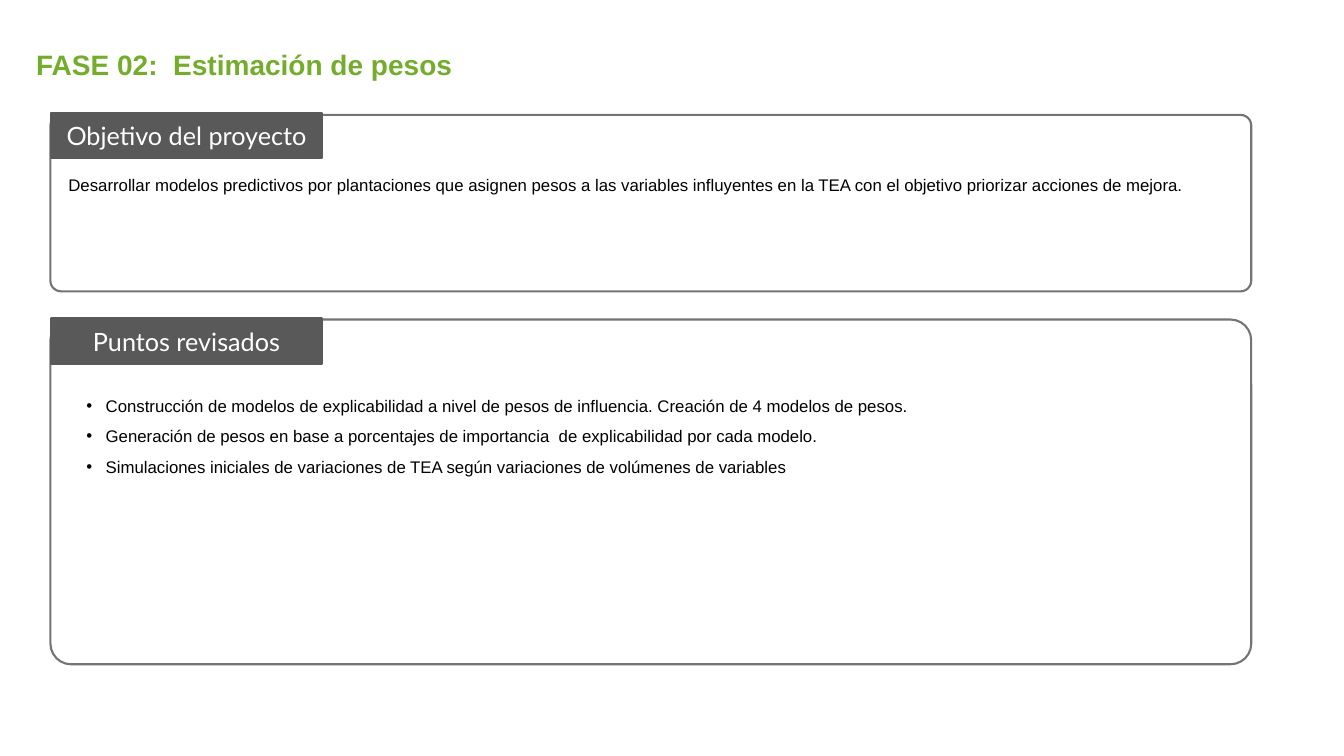
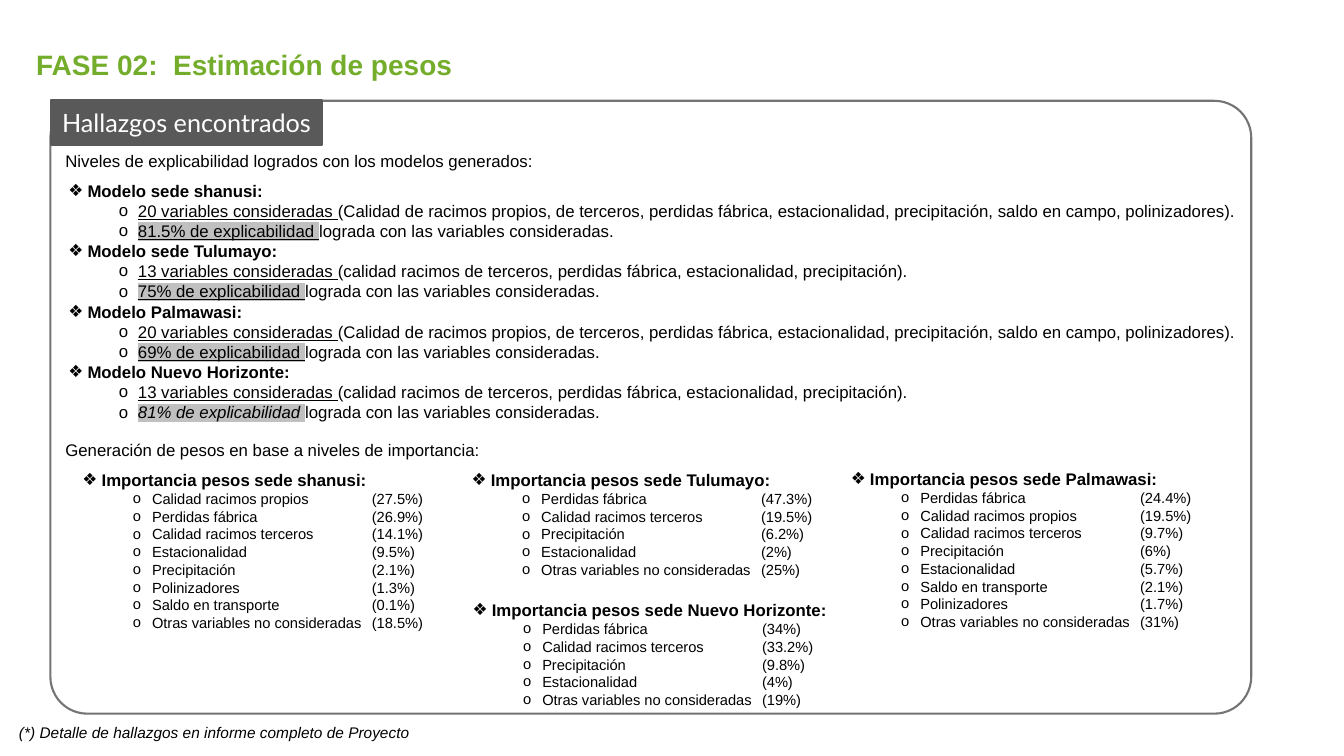
from dataclasses import dataclass

from lxml.etree import SubElement
from pptx import Presentation
from pptx.dml.color import RGBColor
from pptx.enum.shapes import MSO_SHAPE
from pptx.enum.text import MSO_ANCHOR, PP_ALIGN
from pptx.oxml.ns import qn
from pptx.slide import Slide
from pptx.text.text import TextFrame
from pptx.util import Inches, Pt

GREEN, BLACK, WHITE = "74AD2B", "000000", "FFFFFF"
LABEL_GRAY, FRAME_GRAY, HIGHLIGHT = "595959", "747474", "C0C0C0"
BODY_FONT, LABEL_FONT = "Arial", "Lato"
TITLE = "FASE 02:  Estimación de pesos"
ALL_FACTORS = ("(Calidad de racimos propios, de terceros, perdidas fábrica, estacionalidad, "
               "precipitación, saldo en campo, polinizadores).")
MAIN_FACTORS = "(calidad racimos de terceros, perdidas fábrica, estacionalidad, precipitación)."
HANGING, ITEM_INDENT = 0.19, 0.69
HEADING_PITCH, ITEM_PITCH, LOOSE_PITCH = 14.4, 12.65, 21.8
SHARE_OFFSET = 2.87


@dataclass(frozen=True)
class Span:
    text: str
    bold: bool = False
    italic: bool = False
    underline: bool = False
    highlight: str = ""


@dataclass(frozen=True)
class Para:
    spans: tuple[Span, ...]
    size: float = 12
    color: str = BLACK
    font: str = BODY_FONT
    bullet: str = ""
    indent: float = 0
    pitch: float = 0
    centered: bool = False


@dataclass(frozen=True)
class Section:
    label: str
    top: float
    height: float
    label_top: float


@dataclass(frozen=True)
class Model:
    name: str
    variables: int
    factors: str
    level: str
    italic_level: bool = False


@dataclass(frozen=True)
class Ranking:
    site: str
    left: float
    top: float
    shares: tuple[tuple[str, str], ...]


GOAL = Section("Objetivo del proyecto", 1.14, 1.75, 1.12)
REVIEW = Section("Puntos revisados", 3.17, 3.42, 3.16)
FINDINGS = Section("Hallazgos encontrados", 1, 6.08, 0.99)

REVIEWED_POINTS = (
    "Construcción de modelos de explicabilidad a nivel de pesos de influencia. "
    "Creación de 4 modelos de pesos.",
    "Generación de pesos en base a porcentajes de importancia  de explicabilidad por cada modelo.",
    "Simulaciones iniciales de variaciones de TEA según variaciones de volúmenes de variables",
)

MODELS = (
    Model("Modelo sede shanusi:", 20, ALL_FACTORS, "81.5%"),
    Model("Modelo sede Tulumayo:", 13, MAIN_FACTORS, "75%"),
    Model("Modelo Palmawasi:", 20, ALL_FACTORS, "69%"),
    Model("Modelo Nuevo Horizonte:", 13, MAIN_FACTORS, "81%", italic_level=True),
)

RANKINGS = (
    Ranking("shanusi", 0.72, 4.61, (
        ("Calidad racimos propios", "27.5%"),
        ("Perdidas fábrica", "26.9%"),
        ("Calidad racimos terceros", "14.1%"),
        ("Estacionalidad", "9.5%"),
        ("Precipitación", "2.1%"),
        ("Polinizadores", "1.3%"),
        ("Saldo en transporte", "0.1%"),
        ("Otras variables no consideradas", "18.5%"),
    )),
    Ranking("Tulumayo", 4.58, 4.61, (
        ("Perdidas fábrica", "47.3%"),
        ("Calidad racimos terceros", "19.5%"),
        ("Precipitación", "6.2%"),
        ("Estacionalidad", "2%"),
        ("Otras variables no consideradas", "25%"),
    )),
    Ranking("Palmawasi", 8.34, 4.6, (
        ("Perdidas fábrica", "24.4%"),
        ("Calidad racimos propios", "19.5%"),
        ("Calidad racimos terceros", "9.7%"),
        ("Precipitación", "6%"),
        ("Estacionalidad", "5.7%"),
        ("Saldo en transporte", "2.1%"),
        ("Polinizadores", "1.7%"),
        ("Otras variables no consideradas", "31%"),
    )),
    Ranking("Nuevo Horizonte", 4.59, 5.9, (
        ("Perdidas fábrica", "34%"),
        ("Calidad racimos terceros", "33.2%"),
        ("Precipitación", "9.8%"),
        ("Estacionalidad", "4%"),
        ("Otras variables no consideradas", "19%"),
    )),
)


def rgb(color: str) -> RGBColor:
    """Turn a hex string into a colour."""
    return RGBColor.from_string(color)


def line_of(text: str, *, bold: bool = False, italic: bool = False, **layout) -> Para:
    """Make a paragraph of one span from its text and format."""
    return Para((Span(text, bold=bold, italic=italic),), **layout)


def heading(text: str) -> Para:
    """Make a bold heading with a diamond bullet."""
    return line_of(text, bold=True, bullet="❖", indent=HANGING, pitch=HEADING_PITCH)


def write(frame: TextFrame, paras: list[Para]) -> None:
    """Fill a text frame with formatted paragraphs."""
    frame.word_wrap = True
    for index, para in enumerate(paras):
        target = frame.paragraphs[0] if index == 0 else frame.add_paragraph()
        target.alignment = PP_ALIGN.CENTER if para.centered else PP_ALIGN.LEFT
        if para.pitch:
            target.line_spacing = Pt(para.pitch)
        if para.bullet:
            properties = target._p.get_or_add_pPr()
            properties.set("marL", str(Inches(para.indent)))
            properties.set("indent", str(-Inches(HANGING)))
            SubElement(properties, qn("a:buFont"), typeface=BODY_FONT)
            SubElement(properties, qn("a:buChar"), char=para.bullet)
        for span in para.spans:
            run = target.add_run()
            run.text = span.text
            font = run.font
            font.size = Pt(para.size)
            font.bold, font.italic, font.underline = span.bold, span.italic, span.underline
            font.color.rgb = rgb(para.color)
            if span.highlight:
                marker = SubElement(run._r.get_or_add_rPr(), qn("a:highlight"))
                SubElement(marker, qn("a:srgbClr"), val=span.highlight)
            font.name = para.font


def add_text(page: Slide, left: float, top: float, width: float, height: float,
             *paras: Para) -> None:
    """Add a text box holding the given paragraphs."""
    box = page.shapes.add_textbox(Inches(left), Inches(top), Inches(width), Inches(height))
    write(box.text_frame, list(paras))


def add_section(page: Slide, section: Section) -> None:
    """Add a rounded frame with its dark label."""
    frame = page.shapes.add_shape(MSO_SHAPE.ROUNDED_RECTANGLE, Inches(0.5), Inches(section.top),
                                  Inches(11.91), Inches(section.height))
    frame.adjustments[0] = 0.06
    frame.fill.background()
    label = page.shapes.add_shape(MSO_SHAPE.RECTANGLE, Inches(0.51), Inches(section.label_top),
                                  Inches(2.68), Inches(0.45))
    label.fill.solid()
    label.fill.fore_color.rgb = rgb(LABEL_GRAY)
    for shape, color in ((frame, FRAME_GRAY), (label, LABEL_GRAY)):
        shape.shadow.inherit = False
        shape.line.color.rgb = rgb(color)
        shape.line.width = Pt(1.5)
    text = label.text_frame
    text.vertical_anchor = MSO_ANCHOR.MIDDLE
    text.margin_left = text.margin_right = Inches(0.05)
    write(text, [line_of(section.label, size=18, color=WHITE, font=LABEL_FONT, centered=True)])


def add_page(deck: Presentation, *sections: Section) -> Slide:
    """Add a blank slide with the shared title and its sections."""
    page = deck.slides.add_slide(deck.slide_layouts[6])
    add_text(page, 0.26, 0.42, 10.96, 0.44, line_of(TITLE, size=20, color=GREEN, bold=True))
    for section in sections:
        add_section(page, section)
    return page


def model_paras(model: Model) -> list[Para]:
    """Describe a model by its variables and its explained share."""
    level = Span(f"{model.level} de explicabilidad ", italic=model.italic_level,
                 underline=not model.italic_level, highlight=HIGHLIGHT)
    details = (
        (Span(f"{model.variables} variables consideradas ", underline=True), Span(model.factors)),
        (level, Span("lograda con las variables consideradas.")),
    )
    return [heading(model.name)] + [
        Para(spans, bullet="o", indent=ITEM_INDENT, pitch=HEADING_PITCH) for spans in details]


def add_ranking(page: Slide, ranking: Ranking) -> None:
    """Add the weights of a site as names with an aligned column of shares."""
    rows = len(ranking.shares)
    items_height = 0.1 + rows * ITEM_PITCH / 72
    heading_height = HEADING_PITCH / 72
    names = [line_of(name, size=10.5, bullet="o", indent=ITEM_INDENT, pitch=ITEM_PITCH)
             for name, _ in ranking.shares]
    shares = [line_of(f"({share})", size=10.5, pitch=ITEM_PITCH) for _, share in ranking.shares]
    add_text(page, ranking.left, ranking.top, 3.76, heading_height + items_height,
             heading(f"Importancia pesos sede {ranking.site}:"), *names)
    add_text(page, ranking.left + SHARE_OFFSET, ranking.top + heading_height, 0.89, items_height,
             *shares)


def build_overview(deck: Presentation) -> None:
    """Build the slide with the goal and the reviewed points."""
    page = add_page(deck, GOAL, REVIEW)
    add_text(page, 0.58, 1.68, 11.75, 0.3, line_of(
        "Desarrollar modelos predictivos por plantaciones que asignen pesos a las variables "
        "influyentes en la TEA con el objetivo priorizar acciones de mejora."))
    add_text(page, 0.76, 3.77, 11.16, 0.97, *(
        line_of(point, bullet="•", indent=HANGING, pitch=LOOSE_PITCH)
        for point in REVIEWED_POINTS))


def build_findings(deck: Presentation) -> None:
    """Build the slide with the models and the weights by site."""
    page = add_page(deck, FINDINGS)
    add_text(page, 0.55, 1.45, 6.4, 0.3,
             line_of("Niveles de explicabilidad logrados con los modelos generados:"))
    add_text(page, 0.58, 1.74, 11.83, 2.52,
             *(para for model in MODELS for para in model_paras(model)))
    add_text(page, 0.55, 4.31, 4.53, 0.3,
             line_of("Generación de pesos en base a niveles de importancia:"))
    for ranking in RANKINGS:
        add_ranking(page, ranking)
    add_text(page, 0.09, 7.12, 8.37, 0.29, line_of(
        "(*) Detalle de hallazgos en informe completo de Proyecto", size=11, italic=True))


def main() -> None:
    """Build and save the deck."""
    deck = Presentation()
    deck.slide_width, deck.slide_height = Inches(13.33), Inches(7.5)
    build_overview(deck)
    build_findings(deck)
    deck.save("out.pptx")


if __name__ == "__main__":
    main()
